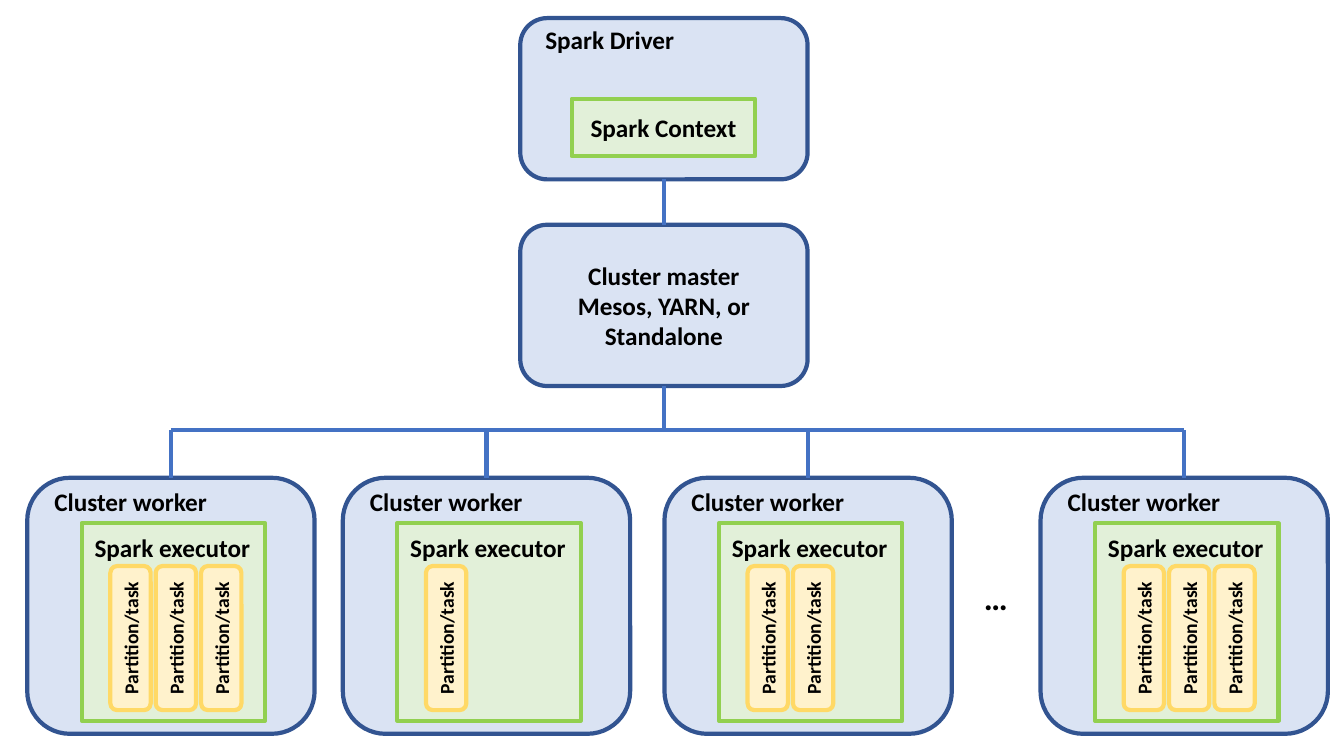
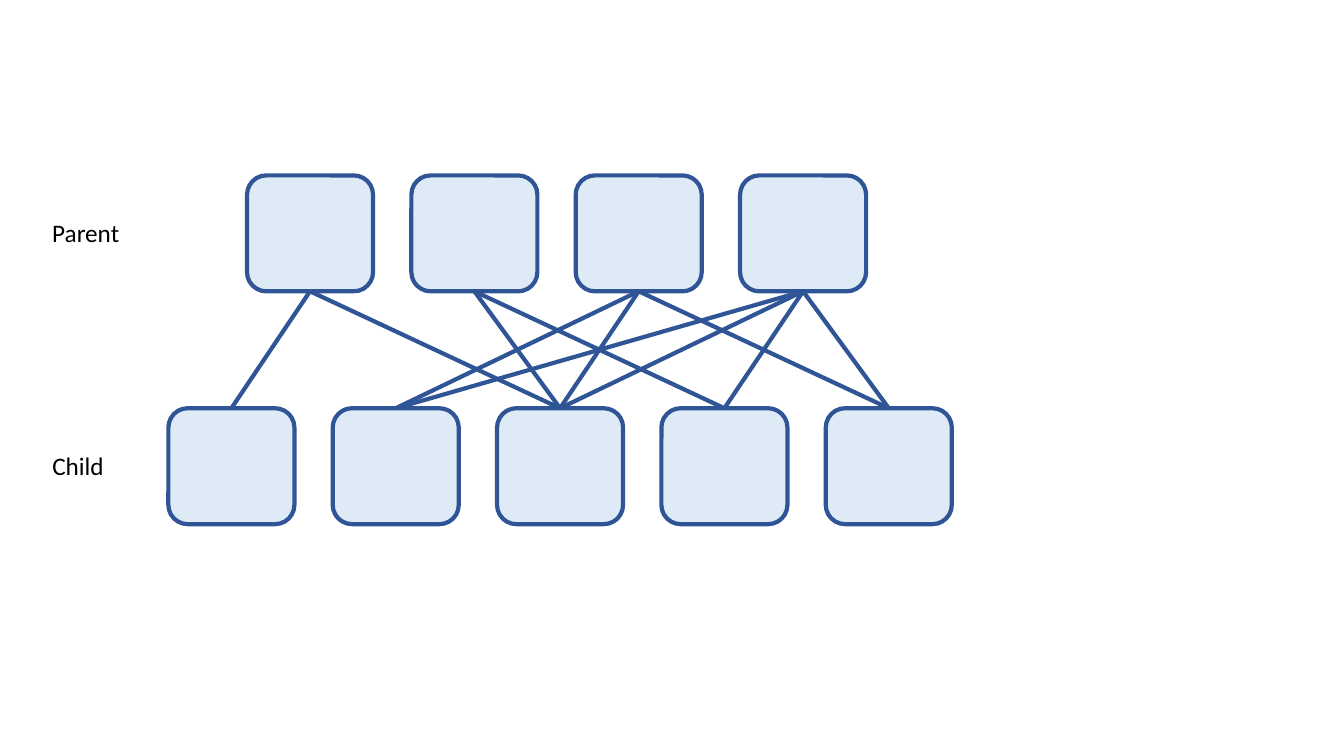
from pptx import Presentation
from pptx.dml.color import RGBColor
from pptx.enum.shapes import MSO_CONNECTOR, MSO_SHAPE
from pptx.enum.text import MSO_ANCHOR, MSO_AUTO_SIZE, PP_ALIGN
from pptx.oxml.xmlchemy import OxmlElement
from pptx.util import Inches, Pt

FONT = "Calibri"
TEXT_COLOR = "000000"
STROKE = Pt(3)
BOTTOM, TOP = 2, 0

NODE = (MSO_SHAPE.ROUNDED_RECTANGLE, "DAE3F3", "325491")
PROCESS = (MSO_SHAPE.RECTANGLE, "E2F0D9", "92D050")
TASK = (MSO_SHAPE.ROUNDED_RECTANGLE, "FFF2CC", "FFD966")
PARTITION = (MSO_SHAPE.ROUNDED_RECTANGLE, "DEEBF7", "2F5597")
TREE_LINE = "4472C4"


def add_box(slide, left, top, width, height, style=None, lines=(), size=18, bold=True):
    area = Inches(left), Inches(top), Inches(width), Inches(height)
    if style:
        geometry, fill, outline = style
        shape = slide.shapes.add_shape(geometry, *area)
        shape.shadow.inherit = False
        shape.fill.solid()
        shape.fill.fore_color.rgb = RGBColor.from_string(fill)
        shape.line.color.rgb = RGBColor.from_string(outline)
        shape.line.width = STROKE
        shape.text_frame.vertical_anchor = MSO_ANCHOR.MIDDLE
    else:
        shape = slide.shapes.add_textbox(*area)
        shape.text_frame.auto_size = MSO_AUTO_SIZE.SHAPE_TO_FIT_TEXT
    frame = shape.text_frame
    frame.word_wrap = style is not None
    for index, line in enumerate(lines):
        paragraph = frame.add_paragraph() if index else frame.paragraphs[0]
        paragraph.alignment = PP_ALIGN.CENTER if style else PP_ALIGN.LEFT
        run = paragraph.add_run()
        run.text = line
        run.font.name = FONT
        run.font.size = Pt(size)
        run.font.bold = bold
        run.font.color.rgb = RGBColor.from_string(TEXT_COLOR)
    return shape


def add_line(slide, color, start, end, upper=None, lower=None):
    connector = slide.shapes.add_connector(MSO_CONNECTOR.STRAIGHT, *start, *end)
    if upper is not None:
        connector.begin_connect(upper, BOTTOM)
    if lower is not None:
        connector.end_connect(lower, TOP)
    connector.line.color.rgb = RGBColor.from_string(color)
    connector.line.width = STROKE
    connector._element.spPr.append(OxmlElement("a:effectLst"))


presentation = Presentation()
presentation.slide_width = Inches(13.33)
presentation.slide_height = Inches(7.5)
blank_layout = presentation.slide_layouts[6]
origin = (0, 0)

cluster_slide = presentation.slides.add_slide(blank_layout)
driver = add_box(cluster_slide, 5.16, 0.18, 2.85, 1.6, NODE)
add_box(cluster_slide, 5.67, 0.98, 1.82, 0.57, PROCESS, ["Spark Context"])
add_box(cluster_slide, 5.31, 0.19, 1.49, 0.4, lines=["Spark Driver"])
master = add_box(cluster_slide, 5.16, 2.23, 2.85, 1.6, NODE,
                 ["Cluster master", "Mesos, YARN, or Standalone"])

workers = []
for left, task_count in [(0.27, 3), (3.4, 1), (6.59, 2), (10.32, 3)]:
    workers.append(add_box(cluster_slide, left, 4.74, 2.85, 2.54, NODE))
    add_box(cluster_slide, left + 0.54, 5.19, 1.82, 1.96, PROCESS)
    add_box(cluster_slide, left + 0.17, 4.78, 1.73, 0.4, lines=["Cluster worker"])
    add_box(cluster_slide, left + 0.57, 5.23, 1.76, 0.4, lines=["Spark executor"])
    for index in range(task_count):
        task = add_box(cluster_slide, left + 0.31 + 0.45 * index, 6.13, 1.43, 0.4,
                       TASK, ["Partition/task"], size=14)
        task.rotation = 270
add_box(cluster_slide, 9.66, 5.67, 0.44, 0.5, lines=["…"], size=24)

bus_top = Inches(4.27)
bus_points = [(worker.left + worker.width // 2, bus_top) for worker in workers]
master_point = (master.left + master.width // 2, bus_top)
add_line(cluster_slide, TREE_LINE, origin, origin, driver, master)
add_line(cluster_slide, TREE_LINE, bus_points[0], bus_points[-1])
add_line(cluster_slide, TREE_LINE, origin, master_point, upper=master)
for worker, point in zip(workers, bus_points):
    add_line(cluster_slide, TREE_LINE, point, origin, lower=worker)

dependency_slide = presentation.slides.add_slide(blank_layout)
rows = []
for label, label_width, left, top, count in [("Parent", 0.87, 2.45, 1.74, 4),
                                             ("Child", 0.72, 1.67, 4.05, 5)]:
    add_box(dependency_slide, 0.42, top + 0.37, label_width, 0.4, lines=[label], bold=False)
    rows.append([add_box(dependency_slide, left + 1.63 * index, top, 1.25, 1.15, PARTITION)
                 for index in range(count)])

parents, children = rows
child_links = [(0, 2), (2, 3), (1, 2, 4), (1, 2, 3, 4)]
for parent, links in zip(parents, child_links):
    for link in links:
        add_line(dependency_slide, PARTITION[2], origin, origin, parent, children[link])

presentation.save("out.pptx")
